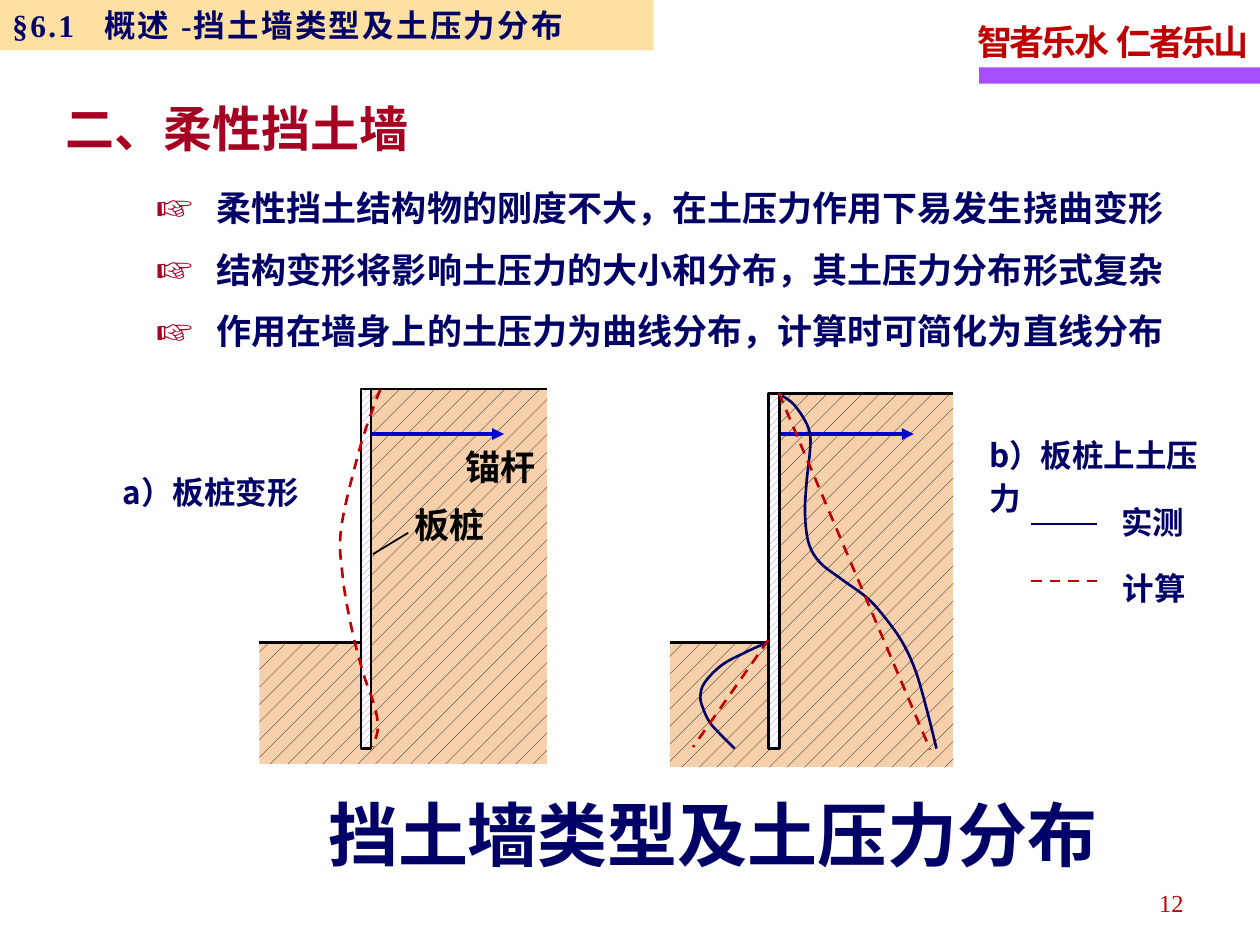
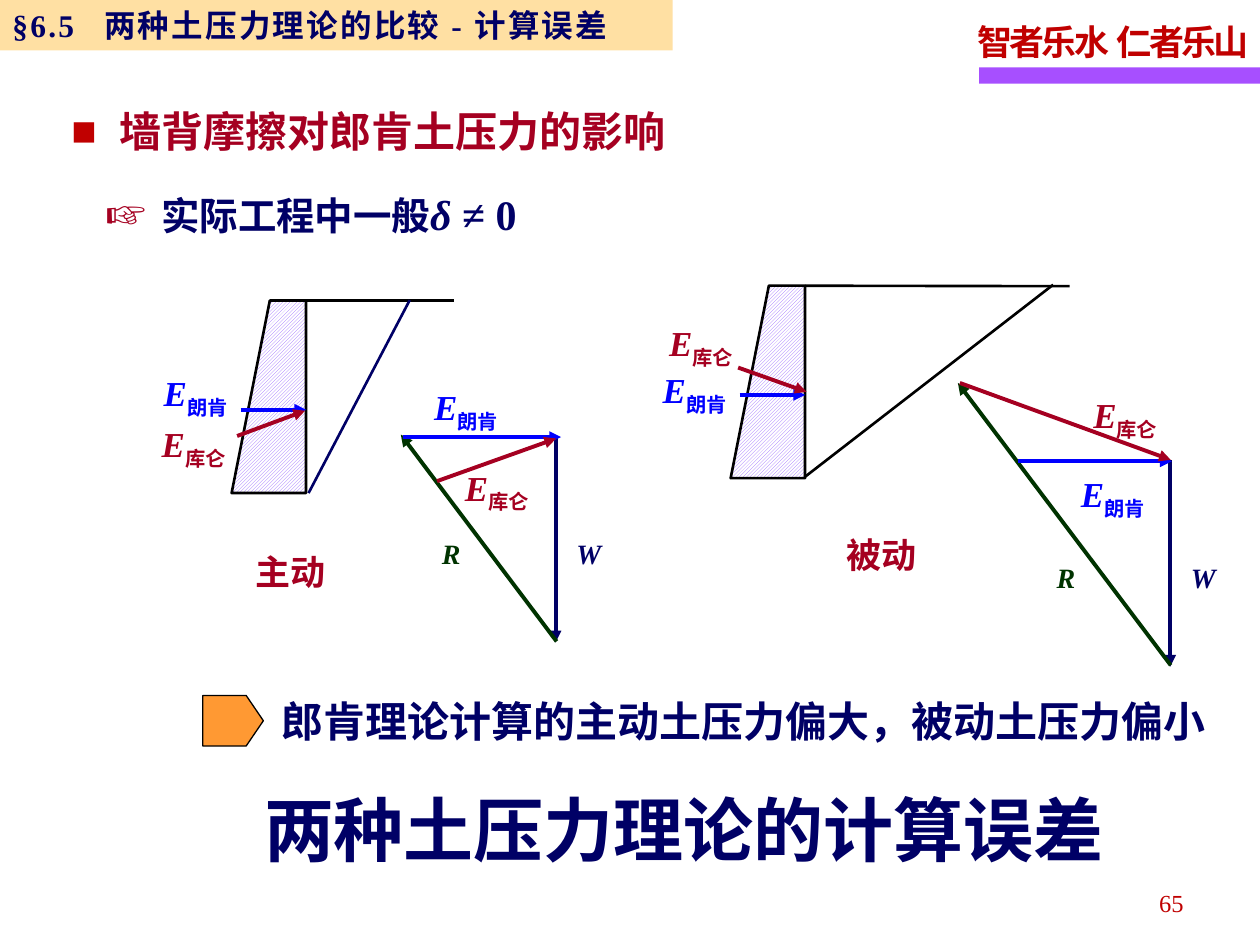
"""Build two lecture slides on retaining walls and earth pressure theory."""
from lxml.etree import SubElement
from pptx import Presentation
from pptx.dml.color import RGBColor
from pptx.enum.dml import MSO_LINE, MSO_PATTERN
from pptx.enum.shapes import MSO_CONNECTOR, MSO_SHAPE
from pptx.enum.text import MSO_ANCHOR, MSO_AUTO_SIZE, PP_ALIGN
from pptx.oxml.ns import qn
from pptx.util import Cm, Pt

rgb = RGBColor.from_string
NAVY, CRIMSON, RED, BLUE, GREEN, BLACK = "000066", "A50021", "C00000", "0000FF", "003300", "000000"
ANCHOR_BLUE, PURPLE, WHITE = "0000CC", "9966FF", "FFFFFF"
SANS, SERIF = "Noto Sans CJK SC", "Times New Roman"
SOIL = (MSO_PATTERN.PERCENT_5, BLACK, "F5D0AB")
PILE = (MSO_PATTERN.WIDE_UPWARD_DIAGONAL, PURPLE, WHITE)
WALL = (MSO_PATTERN.DARK_UPWARD_DIAGONAL, PURPLE, WHITE)


def write(shape, paragraphs, size, color, font=SANS, bold=True, wrap=True, align=PP_ALIGN.LEFT,
          spacing=1.15, after=0, bullet=None, indent=0, tab=None, tracking=0):
    """Fill a shape with paragraphs, each a list of (text, overrides) runs."""
    frame = shape.text_frame
    frame.word_wrap, frame.auto_size = wrap, MSO_AUTO_SIZE.NONE
    for number, runs in enumerate(paragraphs):
        paragraph = frame.add_paragraph() if number else frame.paragraphs[0]
        paragraph.alignment, paragraph.line_spacing = align, spacing
        paragraph.space_before, paragraph.space_after = Pt(0), Pt(after)
        properties = paragraph._p.get_or_add_pPr()
        if bullet:
            mark, mark_color, percent = bullet
            properties.set("marL", str(Cm(indent)))
            properties.set("indent", str(-Cm(indent)))
            SubElement(SubElement(properties, qn("a:buClr")), qn("a:srgbClr"), val=mark_color)
            SubElement(properties, qn("a:buSzPct"), val=str(percent * 1000))
            SubElement(properties, qn("a:buFont"), typeface=SERIF)
            SubElement(properties, qn("a:buChar"), char=mark)
        if tab:
            SubElement(SubElement(properties, qn("a:tabLst")), qn("a:tab"), pos=str(Cm(tab)), algn="l")
        for text, overrides in runs:
            look = {"size": Pt(size), "bold": bold, "name": font, "italic": False, **overrides}
            run = paragraph.add_run()
            run.text = text
            run.font.color.rgb = rgb(color)
            spread, baseline = look.pop("tracking", tracking), look.pop("baseline", 0)
            for attribute, value in look.items():
                setattr(run.font, attribute, value)
            marks = run._r.get_or_add_rPr()
            SubElement(marks, qn("a:ea"), typeface=SANS)
            if spread:
                marks.set("spc", str(spread))
            if baseline:
                marks.set("baseline", str(baseline))


def draw(slide, points, color=None, width=1.5, dash=False, arrow=False, curve=False, pattern=None):
    """Draw a straight line, a smooth curve or a closed patterned outline in centimetres."""
    corners = [(Cm(x), Cm(y)) for x, y in points]
    if len(corners) == 2:
        shape = slide.shapes.add_connector(MSO_CONNECTOR.STRAIGHT, *corners[0], *corners[1])
        SubElement(shape._element.spPr, qn("a:effectLst"))
    else:
        builder = slide.shapes.build_freeform(*corners[0])
        builder.add_line_segments(corners[1:], close=not curve)
        shape = builder.convert_to_shape()
        shape.shadow.inherit = False
        shape.fill.background()
        if pattern:
            shape.fill.patterned()
            shape.fill.pattern = pattern[0]
            shape.fill.fore_color.rgb, shape.fill.back_color.rgb = rgb(pattern[1]), rgb(pattern[2])
    if curve:
        knots = [(int(p.get("x")), int(p.get("y"))) for p in shape._element.spPr.iter(qn("a:pt"))]
        padded = [knots[0], *knots, knots[-1]]
        segments = list(shape._element.spPr.iter(qn("a:lnTo")))
        for segment, a, b, c, d in zip(segments, padded, padded[1:], padded[2:], padded[3:]):
            bend = segment.getparent().makeelement(qn("a:cubicBezTo"))
            leave = [q + (r - p) / 6 for p, q, r in zip(a, b, c)]
            arrive = [q - (r - p) / 6 for p, q, r in zip(b, c, d)]
            for x, y in (leave, arrive, c):
                SubElement(bend, qn("a:pt"), x=str(round(x)), y=str(round(y)))
            segment.getparent().replace(segment, bend)
    if not color:
        shape.line.fill.background()
        return
    shape.line.color.rgb, shape.line.width = rgb(color), Pt(width)
    if dash:
        shape.line.dash_style = MSO_LINE.DASH
    if arrow:
        SubElement(shape.line._get_or_add_ln(), qn("a:tailEnd"), type="triangle")


deck = Presentation()
deck.slide_width, deck.slide_height = Cm(25.4), Cm(19.05)

pages = [
    ("§6.1\t概述 -挡土墙类型及土压力分布", 13.18, "12",
     "挡土墙类型及土压力分布", (6.36, 15.82, 16.66, 1.96), PP_ALIGN.LEFT),
    ("§6.5\t两种土压力理论的比较 - 计算误差", 13.56, "65",
     "两种土压力理论的计算误差", (4.93, 15.72, 17.7, 1.96), PP_ALIGN.CENTER),
]
for section, band_width, page, heading, heading_box, heading_align in pages:
    slide = deck.slides.add_slide(deck.slide_layouts[5])
    title = slide.shapes.title
    title.left, title.top, title.width, title.height = map(Cm, heading_box)
    title.text_frame.vertical_anchor = MSO_ANCHOR.TOP
    write(title, [[(heading, {})]], 40, NAVY, align=heading_align, spacing=1.0)

    for box, color in [((19.74, 1.36, 5.66, 0.33), "A74FFF"), ((0, 0, band_width, 1.02), "FFCC66")]:
        band = slide.shapes.add_shape(MSO_SHAPE.RECTANGLE, *map(Cm, box))
        band.shadow.inherit = False
        band.fill.solid()
        band.fill.fore_color.rgb = rgb(color)
        band.line.fill.background()
    tint = band._element.spPr.find(qn("a:solidFill")).find(qn("a:srgbClr"))
    SubElement(tint, qn("a:alpha"), val="60000")
    band.text_frame.vertical_anchor = MSO_ANCHOR.MIDDLE
    write(band, [[(section, {})]], 18, NAVY, SERIF, spacing=1.0, tab=1.85, tracking=130)

    motto = slide.shapes.add_textbox(Cm(19.46), Cm(0.16), Cm(5.99), Cm(1.24))
    write(motto, [[("智者乐水", {}), (" ", {"tracking": -70}), ("仁者乐山", {})]],
          20, RED, SERIF, wrap=False, tracking=-170)
    number = slide.shapes.add_textbox(Cm(18.19), Cm(17.68), Cm(5.92), Cm(1.02))
    write(number, [[(page, {})]], 14, RED, SERIF, bold=False, align=PP_ALIGN.RIGHT)

flexible, comparison = deck.slides

topic = flexible.shapes.add_textbox(Cm(1.07), Cm(1.86), Cm(12.29), Cm(1.45))
write(topic, [[("二、柔性挡土墙", {})]], 28, CRIMSON, spacing=1.0)
features = flexible.shapes.add_textbox(Cm(3.15), Cm(3.51), Cm(21.08), Cm(3.61))
for side in ("left", "top", "right", "bottom"):
    setattr(features.text_frame, f"margin_{side}", Cm(0))
write(features, [[(line, {})] for line in (
    "柔性挡土结构物的刚度不大，在土压力作用下易发生挠曲变形",
    "结构变形将影响土压力的大小和分布，其土压力分布形式复杂",
    "作用在墙身上的土压力为曲线分布，计算时可简化为直线分布",
)], 20, NAVY, SERIF, spacing=1.3, after=4, bullet=("☞", CRIMSON, 130), indent=1.22)

dredge, tip = 12.95, 15.09
for left, pile_left, pile_right, right, top, bottom in [
    (5.23, 7.28, 7.48, 11.03, 7.84, 15.4),
    (13.5, 15.49, 15.72, 19.22, 7.93, 15.47),
]:
    draw(flexible, [(left, dredge), (left, bottom), (right, bottom), (right, top),
                    (pile_right, top), (pile_right, dredge)], pattern=SOIL)
    draw(flexible, [(left, dredge), (pile_left, dredge)], BLACK)
    draw(flexible, [(pile_right, top), (right, top)], BLACK)
    pile = flexible.shapes.add_shape(MSO_SHAPE.RECTANGLE, Cm(pile_left), Cm(top),
                                     Cm(pile_right - pile_left), Cm(tip - top))
    pile.shadow.inherit = False
    pile.fill.patterned()
    pile.fill.pattern = PILE[0]
    pile.fill.fore_color.rgb, pile.fill.back_color.rgb = rgb(PILE[1]), rgb(PILE[2])
    pile.line.color.rgb, pile.line.width = rgb(BLACK), Pt(1.5)
for start, end in [(7.49, 10.16), (15.75, 18.42)]:
    draw(flexible, [(start, 8.75), (end, 8.75)], ANCHOR_BLUE, 2.25, arrow=True)
draw(flexible, [(7.52, 11.17), (8.23, 10.74)], BLACK, 1)

deflection = [(7.67, 7.85), (7.54, 8.18), (7.24, 9.09), (6.88, 10.64), (6.91, 11.63),
              (7.09, 12.67), (7.32, 13.56), (7.54, 14.2), (7.62, 14.66), (7.52, 15.06)]
draw(flexible, deflection, RED, dash=True, curve=True)
measured_active = [(15.77, 7.98), (16, 8.15), (16.23, 8.48), (16.33, 8.76), (16.33, 9.09),
                   (16.26, 9.73), (16.23, 10.39), (16.31, 10.97), (16.54, 11.35),
                   (16.97, 11.68), (17.5, 12.07), (17.88, 12.5), (18.21, 12.98),
                   (18.47, 13.56), (18.69, 14.33), (18.88, 15.09)]
measured_passive = [(15.47, 12.95), (15.01, 13.16), (14.55, 13.41), (14.2, 13.77), (14.12, 14.05),
                    (14.17, 14.27), (14.3, 14.55), (14.5, 14.78), (14.81, 15.09)]
for measured in (measured_active, measured_passive):
    draw(flexible, measured, NAVY, curve=True)
for calculated in ([(15.7, 7.92), (18.75, 15.11)], [(15.49, 12.9), (13.97, 15.06)]):
    draw(flexible, calculated, RED, dash=True)
draw(flexible, [(20.79, 10.56), (22.12, 10.56)], NAVY)
draw(flexible, [(20.79, 11.71), (22.12, 11.71)], RED, dash=True)

for text, box, size, color in [
    ("a）板桩变形", (2.22, 9.3, 4.32, 1.02), 18, NAVY),
    ("b）板桩上土压力", (19.69, 8.55, 5.33, 1.14), 18, NAVY),
    ("实测", (22.35, 9.91, 1.8, 1.02), 18, NAVY),
    ("计算", (22.38, 11.23, 1.8, 1.02), 18, NAVY),
    ("锚杆", (9.13, 8.72, 2.08, 1.24), 20, BLACK),
    ("板桩", (8.1, 9.89, 2.06, 1.24), 20, BLACK),
]:
    label = flexible.shapes.add_textbox(*map(Cm, box))
    write(label, [[(text, {})]], size, color)

topic = comparison.shapes.add_textbox(Cm(1.19), Cm(1.5), Cm(13), Cm(1.75))
write(topic, [[("墙背摩擦对郎肯土压力的影响", {})]], 24, CRIMSON, spacing=1.5,
      bullet=("■", RED, 100), indent=0.97)
premise = comparison.shapes.add_textbox(Cm(1.88), Cm(3.53), Cm(10.39), Cm(1.42))
symbol = {"size": Pt(24), "name": SERIF}
write(premise, [[("实际工程中一般", {}), ("δ ", {**symbol, "italic": True}), ("≠ 0", symbol)]],
      22, NAVY, spacing=1.14, after=2, bullet=("☞", CRIMSON, 130), indent=1.12)

for dx, dy in [(0, 0), (10.06, -0.3)]:
    draw(comparison, [(x + dx, y + dy) for x, y in
                      [(4.67, 9.94), (6.17, 9.94), (6.17, 6.06), (5.44, 6.06)]], BLACK, pattern=WALL)
    draw(comparison, [(4.85 + dx, 8.26 + dy), (6.17 + dx, 8.26 + dy)], BLUE, 2.25, arrow=True)
for ends, color in [
    ([(6.17, 6.06), (9.15, 6.06)], BLACK),
    ([(8.26, 6.05), (6.22, 9.94)], NAVY),
    ([(16.23, 5.76), (21.56, 5.77)], BLACK),
    ([(16.23, 9.61), (21.23, 5.74)], BLACK),
]:
    draw(comparison, ends, color)

for ends, color in [
    ([(4.78, 8.79), (6.15, 8.28)], CRIMSON),
    ([(14.88, 7.41), (16.26, 7.9)], CRIMSON),
    ([(11.2, 8.79), (11.2, 12.95)], NAVY),
    ([(11.22, 12.93), (8.08, 8.76)], GREEN),
    ([(8.13, 8.81), (11.31, 8.81)], BLUE),
    ([(8.81, 9.7), (11.21, 8.84)], CRIMSON),
    ([(23.59, 9.27), (23.59, 13.44)], NAVY),
    ([(23.6, 13.41), (19.31, 7.72)], GREEN),
    ([(20.52, 9.3), (23.62, 9.3)], BLUE),
    ([(19.35, 7.72), (23.6, 9.27)], CRIMSON),
]:
    draw(comparison, ends, color, 2.25, arrow=True)

theories = {"朗肯": BLUE, "库仑": CRIMSON}
for theory, x, y, spacing in [
    ("朗肯", 3.05, 7.23, 1.15), ("库仑", 3.01, 8.25, 1.15),
    ("朗肯", 13.11, 7.16, 1.15), ("库仑", 13.24, 6.22, 1.15),
    ("朗肯", 8.5, 7.65, 1.0), ("库仑", 9.12, 9.27, 1.0),
    ("朗肯", 21.54, 9.4, 1.0), ("库仑", 21.79, 7.81, 1.0),
]:
    force = comparison.shapes.add_textbox(Cm(x), Cm(y), Cm(2.26), Cm(1.2))
    write(force, [[("E", {"italic": True}), (theory, {"baseline": -25000})]],
          20, theories[theory], SERIF, spacing=spacing)
for letter, color, x, y in [("W", NAVY, 11.37, 10.59), ("R", GREEN, 8.66, 10.59),
                            ("W", NAVY, 23.76, 11.07), ("R", GREEN, 21.05, 11.07)]:
    force = comparison.shapes.add_textbox(Cm(x), Cm(y), Cm(0.94), Cm(1.04))
    write(force, [[(letter, {"italic": True})]], 16, color, SERIF)
for state, x, y in [("主动", 4.91, 10.85), ("被动", 16.81, 10.5)]:
    caption = comparison.shapes.add_textbox(Cm(x), Cm(y), Cm(2.08), Cm(1.2))
    write(caption, [[(state, {})]], 20, CRIMSON, SERIF)

pointer = comparison.shapes.add_shape(MSO_SHAPE.PENTAGON, Cm(4.09), Cm(14.02), Cm(1.22), Cm(1.02))
pointer.adjustments[0] = 0.34
pointer.shadow.inherit = False
pointer.fill.solid()
pointer.fill.fore_color.rgb = rgb("FF9933")
pointer.line.color.rgb, pointer.line.width = rgb(BLACK), Pt(0.75)
conclusion = comparison.shapes.add_textbox(Cm(5.42), Cm(13.74), Cm(19.3), Cm(1.45))
write(conclusion, [[("郎肯理论计算的主动土压力偏大，被动土压力偏小", {})]], 24, NAVY)

deck.save("out.pptx")
